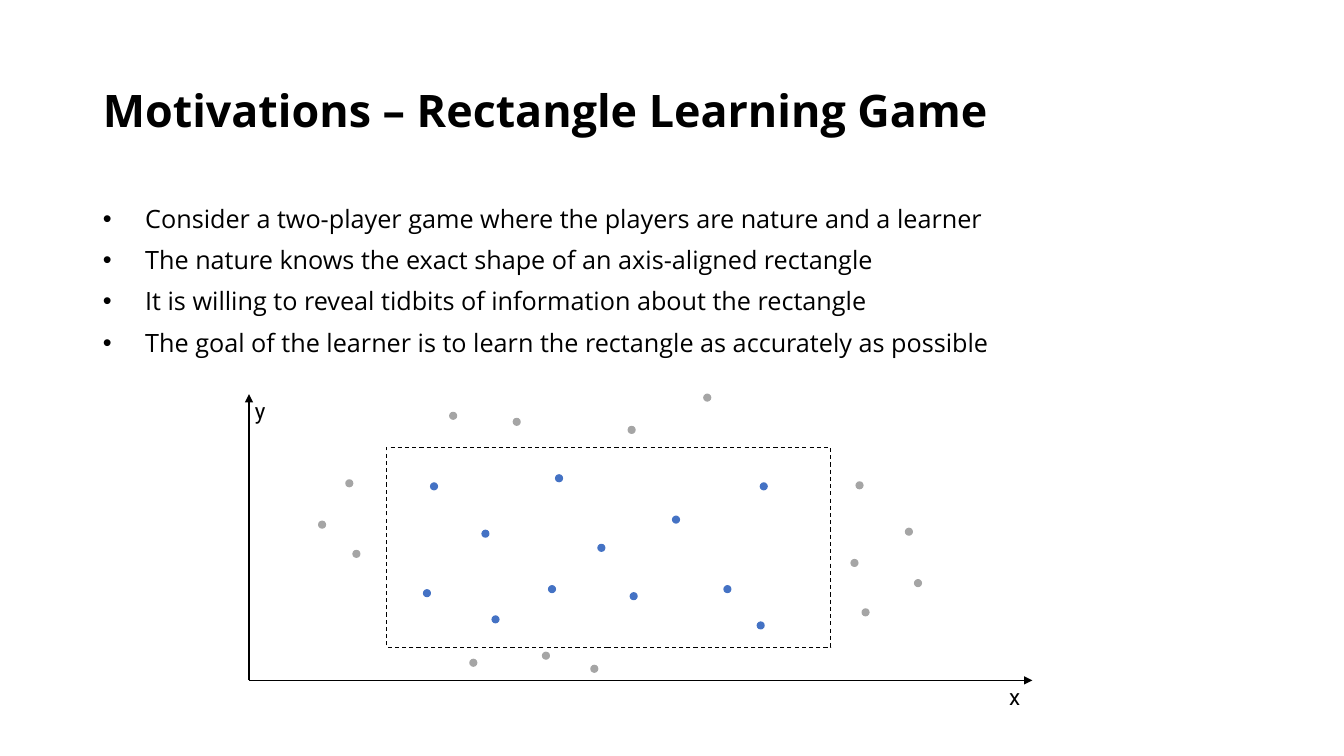
"""Build the slide that introduces the rectangle learning game."""
import dataclasses

import lxml.etree
import pptx
import pptx.dml.color
import pptx.enum.dml
import pptx.enum.shapes
import pptx.enum.text
import pptx.oxml.ns
import pptx.util

PX = 9144
DOT = 7
TITLE = "Motivations – Rectangle Learning Game"
POINTS = [
    "Consider a two-player game where the players are nature and a learner",
    "The nature knows the exact shape of an axis-aligned rectangle",
    "It is willing to reveal tidbits of information about the rectangle",
    "The goal of the learner is to learn the rectangle as accurately as possible",
]
INSIDE = [
    (427, 479), (420, 585), (488, 611), (478, 526), (551, 471), (754, 479),
    (667, 512), (593, 540), (625, 588), (544, 581), (751, 617), (718, 581),
]
OUTSIDE = [
    (316, 517), (350, 546), (343, 476), (446, 409), (509, 415), (623, 423),
    (698, 391), (586, 660), (466, 654), (855, 604), (538, 647), (844, 555),
    (849, 478), (898, 524), (907, 575),
]


@dataclasses.dataclass(frozen=True)
class Theme:
    """Colours, fonts and sizes of the slide."""
    ink: str = "000000"
    blue: str = "4472C4"
    gray: str = "A5A5A5"
    font: str = "Open Sans"
    label: str = "Roboto"
    big: int = 32
    mid: int = 18
    small: int = 16
    line: float = 0.75


THEME = Theme()


def emu(*sizes):
    """Turn px lengths into EMU."""
    return [size * PX for size in sizes]


def rgb(code):
    """Return the colour of a hex code."""
    return pptx.dml.color.RGBColor.from_string(code)


def add_run(para, text, size, font, bold=False):
    """Add one formatted run to a paragraph."""
    run = para.add_run()
    run.text = text
    run.font.size = pptx.util.Pt(size)
    run.font.name = font
    run.font.bold = bold
    run.font.color.rgb = rgb(THEME.ink)


def set_line(shape, color):
    """Give a shape or connector its thin line."""
    shape.line.color.rgb = rgb(color)
    shape.line.width = pptx.util.Pt(THEME.line)


def place(holder, box, anchor):
    """Move a placeholder and return its text frame."""
    holder.left, holder.top, holder.width, holder.height = emu(*box)
    frame = holder.text_frame
    frame.auto_size = pptx.enum.text.MSO_AUTO_SIZE.NONE
    frame.vertical_anchor = anchor
    return frame


def add_title(slide):
    """Fill the title placeholder."""
    anchor = pptx.enum.text.MSO_ANCHOR.MIDDLE
    para = place(slide.shapes.title, (92, 40, 1150, 145), anchor).paragraphs[0]
    para.alignment = pptx.enum.text.PP_ALIGN.LEFT
    para.line_spacing = 0.9
    add_run(para, TITLE, THEME.big, THEME.font, True)


def add_bullet(para):
    """Give a paragraph a round bullet and a hanging indent."""
    props = para._p.get_or_add_pPr()
    props.set("marL", str(42 * PX))
    props.set("indent", str(-42 * PX))
    tag = pptx.oxml.ns.qn
    lxml.etree.SubElement(props, tag("a:buFont"), typeface="Arial")
    lxml.etree.SubElement(props, tag("a:buChar"), char="•")


def add_list(slide):
    """Fill the body placeholder with the bullet points."""
    anchor = pptx.enum.text.MSO_ANCHOR.TOP
    frame = place(slide.placeholders[1], (92, 200, 1150, 476), anchor)
    for rank, text in enumerate(POINTS):
        para = frame.add_paragraph() if rank else frame.paragraphs[0]
        add_bullet(para)
        para.line_spacing = 0.9
        para.space_before = pptx.util.Pt(10 if rank else 0)
        add_run(para, text, THEME.mid, THEME.font)


def add_axis(plot, start, end):
    """Draw an axis with an arrowhead at its end."""
    kind = pptx.enum.shapes.MSO_CONNECTOR.STRAIGHT
    axis = plot.shapes.add_connector(kind, *emu(*start, *end))
    set_line(axis, THEME.ink)
    tag = pptx.oxml.ns.qn
    lxml.etree.SubElement(axis.line._get_or_add_ln(), tag("a:tailEnd"), type="triangle")
    lxml.etree.SubElement(axis._element.spPr, tag("a:effectLst"))


def add_frame(plot):
    """Draw the dashed rectangle to be learned."""
    kind = pptx.enum.shapes.MSO_SHAPE.RECTANGLE
    frame = plot.shapes.add_shape(kind, *emu(383, 444, 441, 198))
    frame.shadow.inherit = False
    frame.fill.background()
    set_line(frame, THEME.ink)
    frame.line.dash_style = pptx.enum.dml.MSO_LINE.DASH


def add_dots(plot, spots, color):
    """Draw one dot of a colour at each spot."""
    kind = pptx.enum.shapes.MSO_SHAPE.OVAL
    for left, top in spots:
        dot = plot.shapes.add_shape(kind, *emu(left, top, DOT, DOT))
        dot.shadow.inherit = False
        dot.fill.solid()
        dot.fill.fore_color.rgb = rgb(color)
        set_line(dot, color)


def add_label(plot, text, left, top):
    """Write the name of an axis."""
    frame = plot.shapes.add_textbox(*emu(left, top, 31, 37)).text_frame
    frame.word_wrap = False
    frame.auto_size = pptx.enum.text.MSO_AUTO_SIZE.SHAPE_TO_FIT_TEXT
    add_run(frame.paragraphs[0], text, THEME.small, THEME.label)


def add_plot(slide):
    """Draw the axes, the rectangle and the dots as one group."""
    plot = slide.shapes.add_group_shape()
    origin = (247, 675)
    add_axis(plot, origin, (1024, 675))
    add_axis(plot, origin, (247, 391))
    add_frame(plot)
    add_dots(plot, OUTSIDE, THEME.gray)
    add_dots(plot, INSIDE, THEME.blue)
    add_label(plot, "y", 243, 389)
    add_label(plot, "x", 991, 673)


def main():
    """Build and save the slide."""
    deck = pptx.Presentation()
    deck.slide_width, deck.slide_height = emu(1333, 750)
    slide = deck.slides.add_slide(deck.slide_layouts[1])
    add_title(slide)
    add_list(slide)
    add_plot(slide)
    deck.save("out.pptx")


if __name__ == "__main__":
    main()
